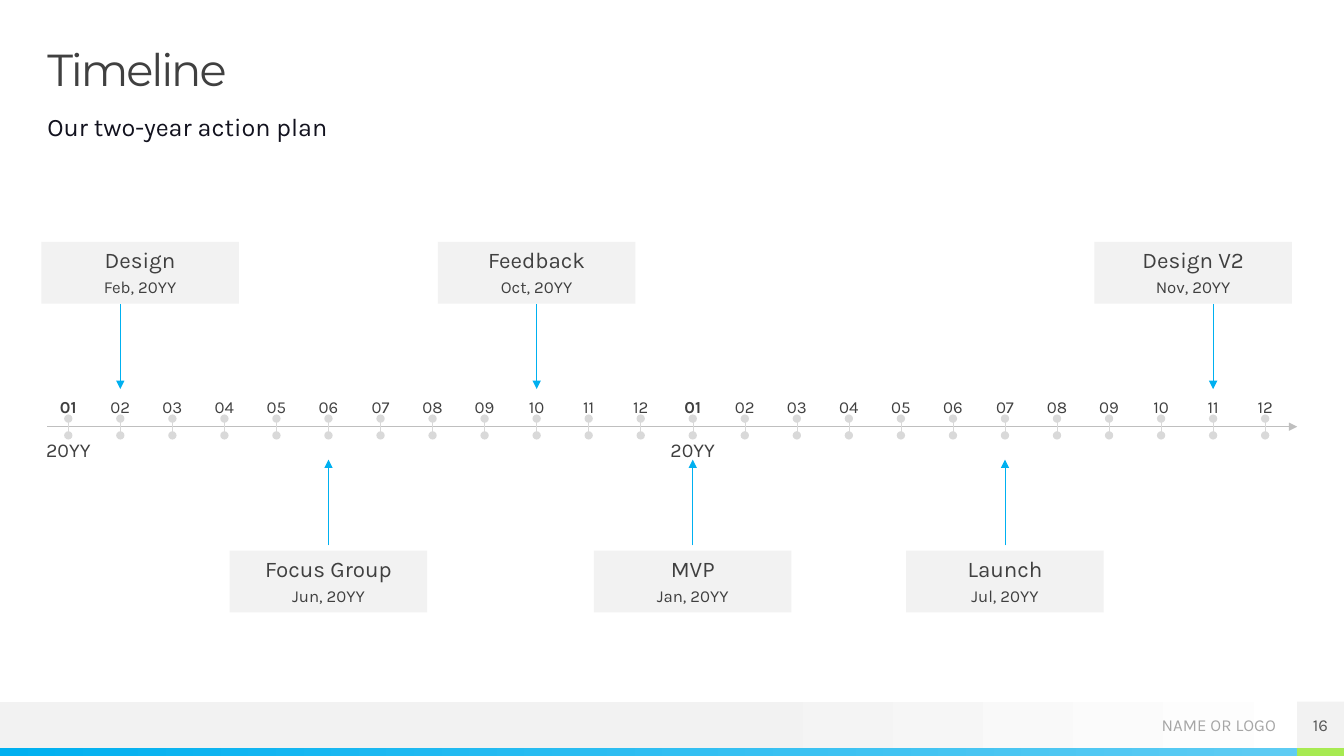
from dataclasses import dataclass

from lxml import etree
from pptx import Presentation
from pptx.dml.color import RGBColor
from pptx.enum.shapes import MSO_CONNECTOR, MSO_SHAPE
from pptx.enum.text import MSO_ANCHOR, MSO_AUTO_SIZE, PP_ALIGN
from pptx.oxml.ns import qn
from pptx.shapes.autoshape import Shape
from pptx.shapes.connector import Connector
from pptx.shapes.shapetree import GroupShapes, SlideShapes
from pptx.util import Pt

RECT = MSO_SHAPE.RECTANGLE
STRAIGHT = MSO_CONNECTOR.STRAIGHT
TOP, MIDDLE = MSO_ANCHOR.TOP, MSO_ANCHOR.MIDDLE
LEFT, CENTER, RIGHT = PP_ALIGN.LEFT, PP_ALIGN.CENTER, PP_ALIGN.RIGHT
NO_AUTOFIT = MSO_AUTO_SIZE.NONE

WHITE = RGBColor(0xFF, 0xFF, 0xFF)
PALE = RGBColor(0xF2, 0xF2, 0xF2)
TICK_GRAY = RGBColor(0xD9, 0xD9, 0xD9)
AXIS_GRAY = RGBColor(0xBF, 0xBF, 0xBF)
FOOTER_GRAY = RGBColor(0xA6, 0xA6, 0xA6)
NUMBER_GRAY = RGBColor(0x59, 0x59, 0x59)
DARK = RGBColor(0x40, 0x40, 0x40)
INK = RGBColor(0x12, 0x12, 0x1E)
BLUE = RGBColor(0x00, 0xB0, 0xF0)
LIGHT_BLUE = RGBColor(0x5E, 0xCC, 0xF3)
GREEN = RGBColor(0xA7, 0xEA, 0x52)

HEAD_FONT, BODY_FONT = "Montserrat", "Karla"

SLIDE_W, SLIDE_H = 960, 540
MARGIN, CONTENT_W = 33.8, 892.8
FOOTER_Y, STRIPE_Y, CORNER_X = 501.1, 534.2, 926.6
FIRST_MONTH_X, MONTH_STEP = 48.8, 37.17
AXIS_Y = 304.8
CARD_W, CARD_H = 141.1, 44.2
CARD_MIN_X, CARD_MAX_X = 29.5, 781.7


@dataclass(frozen=True)
class Box:
    x: float
    y: float
    w: float
    h: float


@dataclass(frozen=True)
class Style:
    size: float
    color: RGBColor = DARK
    font: str = BODY_FONT
    bold: bool = False
    align: PP_ALIGN = CENTER
    anchor: MSO_ANCHOR = TOP
    before: float = 10
    after: float = 5


@dataclass(frozen=True)
class Row:
    card_y: float
    arrow_from: float
    arrow_to: float


@dataclass(frozen=True)
class Milestone:
    name: str
    date: str
    month: int  # counted from the first month on the axis
    row: Row


ABOVE = Row(172.7, 216.8, 277.9)
BELOW = Row(393.3, 389.5, 328.3)
MILESTONES = [
    Milestone("Design", "Feb, 20YY", 1, ABOVE),
    Milestone("Focus Group", "Jun, 20YY", 5, BELOW),
    Milestone("Feedback", "Oct, 20YY", 9, ABOVE),
    Milestone("MVP", "Jan, 20YY", 12, BELOW),
    Milestone("Launch", "Jul, 20YY", 18, BELOW),
    Milestone("Design V2", "Nov, 20YY", 22, ABOVE),
]


def month_x(month: int) -> float:
    return FIRST_MONTH_X + month * MONTH_STEP


def place(sp: Shape, box: Box) -> None:
    sp.left, sp.top, sp.width, sp.height = (Pt(v) for v in (box.x, box.y, box.w, box.h))


def write(sp: Shape, text: str, style: Style, inset_top: float = 0) -> None:
    tf = sp.text_frame
    tf.word_wrap = True
    tf.auto_size = NO_AUTOFIT
    tf.vertical_anchor = style.anchor
    tf.margin_left = tf.margin_right = tf.margin_bottom = Pt(0)
    tf.margin_top = Pt(inset_top)
    p = tf.paragraphs[0]
    p.alignment = style.align
    p.space_before, p.space_after = Pt(style.before), Pt(style.after)
    r = p.add_run()
    r.text = text
    r.font.name, r.font.size, r.font.bold = style.font, Pt(style.size), style.bold
    r.font.color.rgb = style.color


def add_text(shapes: SlideShapes, box: Box, text: str, style: Style) -> None:
    sp = shapes.add_textbox(Pt(box.x), Pt(box.y), Pt(box.w), Pt(box.h))
    write(sp, text, style)


def add_rect(shapes: SlideShapes, box: Box, color: RGBColor,
             end_color: RGBColor | None = None, start: float = 0) -> Shape:
    """Add a borderless rectangle, shaded left to right if end_color is given."""
    sp = shapes.add_shape(RECT, Pt(box.x), Pt(box.y), Pt(box.w), Pt(box.h))
    sp.shadow.inherit = False
    sp.line.fill.background()
    if end_color is None:
        sp.fill.solid()
        sp.fill.fore_color.rgb = color
    else:
        sp.fill.gradient()
        sp.fill.gradient_angle = 0
        for stop, rgb, position in zip(sp.fill.gradient_stops, (color, end_color), (start, 1)):
            stop.color.rgb, stop.position = rgb, position
    return sp


def add_line(shapes: SlideShapes | GroupShapes, x1: float, y1: float, x2: float, y2: float,
             color: RGBColor, width: float = 0.5, head: str = "none",
             tail: str = "triangle") -> Connector:
    sp = shapes.add_connector(STRAIGHT, Pt(x1), Pt(y1), Pt(x2), Pt(y2))
    sp.line.color.rgb = color
    sp.line.width = Pt(width)
    ln = sp.line._get_or_add_ln()
    etree.SubElement(ln, qn("a:headEnd"), type=head)
    etree.SubElement(ln, qn("a:tailEnd"), type=tail)
    etree.SubElement(sp._element.spPr, qn("a:effectLst"))
    return sp


def add_headings(shapes: SlideShapes) -> None:
    title, subtitle = shapes.title, shapes.placeholders[1]
    place(title, Box(MARGIN, 33.8, CONTENT_W, 33.8))
    write(title, "Timeline", Style(32, font=HEAD_FONT, align=LEFT, before=0, after=0))
    p = title.text_frame.paragraphs[0]
    p.line_spacing = 0.9
    p.runs[0].font._element.set("spc", "-150")

    place(subtitle, Box(MARGIN, 79.2, CONTENT_W, 28.1))
    write(subtitle, "Our two-year action plan", Style(18, INK, align=LEFT))
    pPr = subtitle.text_frame.paragraphs[0]._p.get_or_add_pPr()
    pPr.set("marL", "0")
    pPr.set("indent", "0")
    etree.SubElement(pPr, qn("a:buNone"))


def add_footer(shapes: SlideShapes) -> None:
    corner_w, bar_h = SLIDE_W - CORNER_X, STRIPE_Y - FOOTER_Y
    stripe_h = SLIDE_H - STRIPE_Y
    add_rect(shapes, Box(0, FOOTER_Y, SLIDE_W, bar_h), PALE, WHITE, 0.53)
    add_rect(shapes, Box(0, STRIPE_Y, CORNER_X, stripe_h), BLUE, LIGHT_BLUE)
    add_rect(shapes, Box(CORNER_X, STRIPE_Y, corner_w, stripe_h), GREEN)
    add_text(shapes, Box(750.2, FOOTER_Y, 161.3, 33.8), "NAME OR LOGO",
             Style(12, FOOTER_GRAY, align=RIGHT, anchor=MIDDLE, before=0, after=0))
    number = add_rect(shapes, Box(CORNER_X, FOOTER_Y, corner_w, bar_h), PALE)
    write(number, "16", Style(12, NUMBER_GRAY, anchor=MIDDLE, before=0, after=0))


def add_axis(shapes: SlideShapes) -> None:
    add_line(shapes, MARGIN, AXIS_Y, CORNER_X, AXIS_Y, AXIS_GRAY)
    ticks = shapes.add_group_shape().shapes
    for month in range(24):
        x = month_x(month)
        year, index = divmod(month, 12)
        add_line(ticks, x, 299, x, 311, TICK_GRAY, 0.25 if year else 0.5, "oval", "oval")
        add_text(shapes, Box(x - 14.8, 283, 29.6, 15.8), f"{index + 1:02}",
                 Style(12, bold=index == 0))
        if index == 0:
            add_text(shapes, Box(x - 16.2, 313.2, 32.4, 15.8), "20YY", Style(14, anchor=MIDDLE))


def add_milestone(shapes: SlideShapes, item: Milestone) -> None:
    x, row = month_x(item.month), item.row
    add_line(shapes, x, row.arrow_from, x, row.arrow_to, BLUE)
    card_x = min(max(x - CARD_W / 2, CARD_MIN_X), CARD_MAX_X)
    card = add_rect(shapes, Box(card_x, row.card_y, CARD_W, CARD_H), PALE)
    write(card, item.name, Style(16), inset_top=2.9)
    add_text(shapes, Box(card_x + 4, row.card_y + 24.8, CARD_W - 8, 18), item.date, Style(12))


def main() -> None:
    prs = Presentation()
    prs.slide_width, prs.slide_height = Pt(SLIDE_W), Pt(SLIDE_H)
    shapes = prs.slides.add_slide(prs.slide_layouts[1]).shapes
    add_headings(shapes)
    add_footer(shapes)
    add_axis(shapes)
    for item in MILESTONES:
        add_milestone(shapes, item)
    prs.save("out.pptx")


if __name__ == "__main__":
    main()
